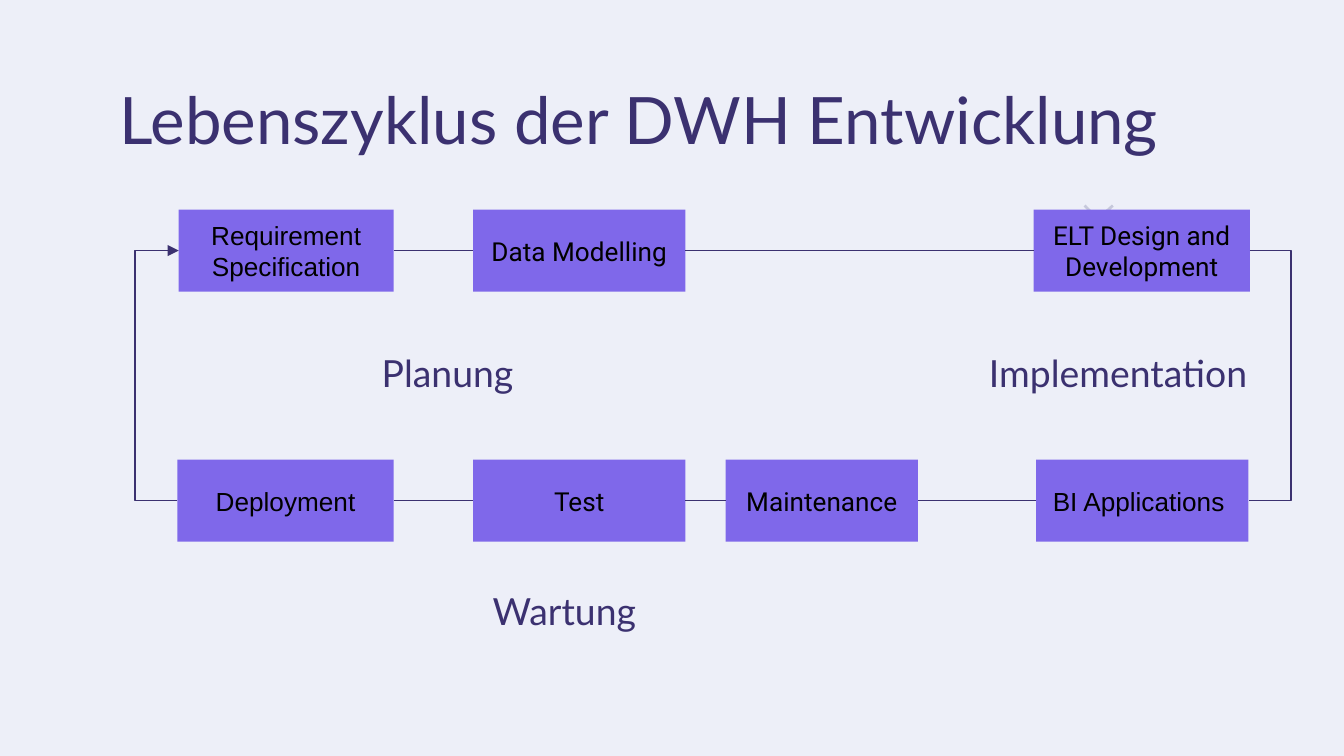
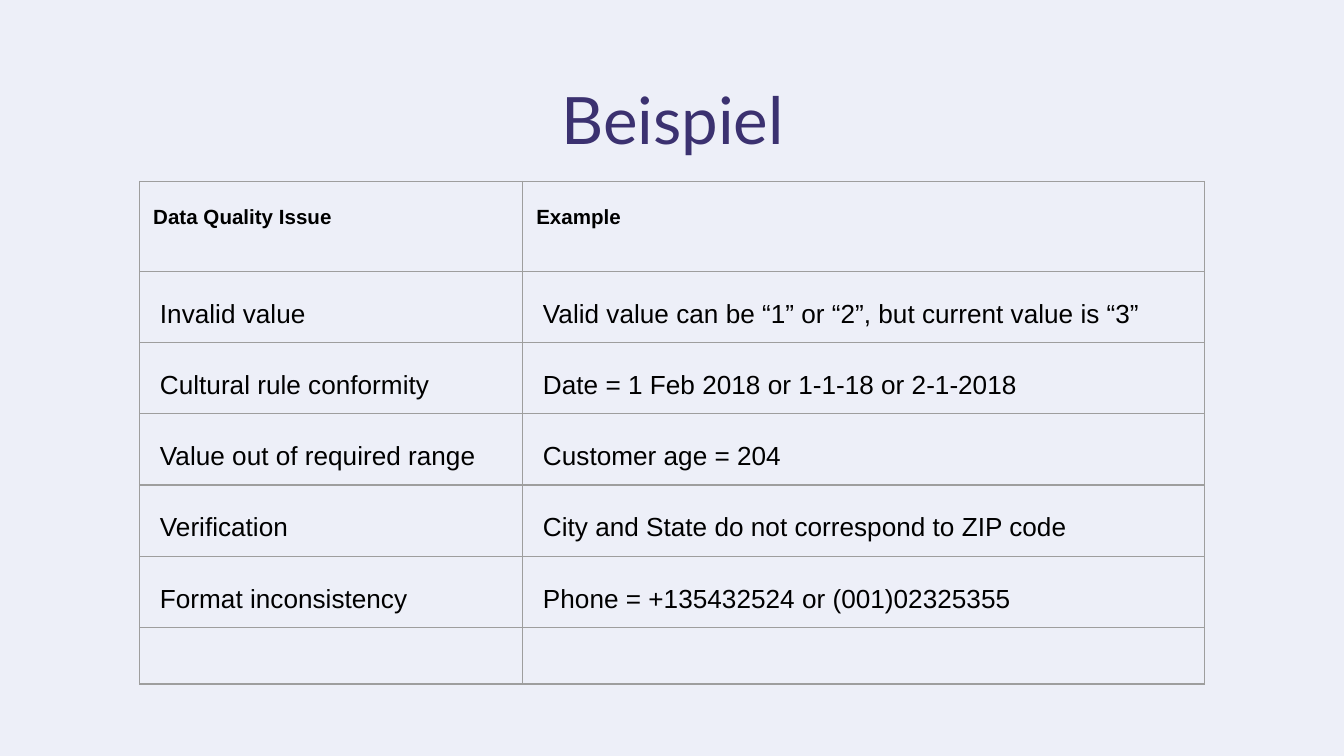
from lxml import etree
from pptx import Presentation
from pptx.dml.color import RGBColor
from pptx.enum.shapes import MSO_CONNECTOR, MSO_SHAPE
from pptx.enum.text import MSO_ANCHOR, PP_ALIGN
from pptx.oxml.ns import qn
from pptx.util import Inches, Pt

STRAIGHT, ELBOW = MSO_CONNECTOR.STRAIGHT, MSO_CONNECTOR.ELBOW
RECTANGLE = MSO_SHAPE.RECTANGLE
TOP, MIDDLE, BOTTOM = MSO_ANCHOR.TOP, MSO_ANCHOR.MIDDLE, MSO_ANCHOR.BOTTOM
LEFT, CENTER = PP_ALIGN.LEFT, PP_ALIGN.CENTER
LEFT_SIDE, RIGHT_SIDE = 1, 3

WIDTH = 10
HEIGHT = WIDTH * 9 / 16
PAPER, INK, VIOLET, MIST = "EDEFF8", "3B3170", "7F68EA", "C6C8DB"
BLACK, GRID = "000000", "9E9E9E"
MARGIN = 0.1
TITLE_AREA = (0.79, 0.49, 8.43, 0.63)

STEP_HEIGHT = 0.61
STEP_ROWS = [
    (1.56, [
        ("Requirement Specification", 1.33, 1.6, "Arial"),
        ("Data Modelling", 3.52, 1.58, "Roboto"),
        ("ELT Design and Development", 7.69, 1.61, "Roboto"),
    ]),
    (3.42, [
        ("Deployment", 1.32, 1.61, "Arial"),
        ("Test", 3.52, 1.58, "Roboto"),
        ("Maintenance", 5.4, 1.43, "Roboto"),
        ("BI Applications ", 7.71, 1.58, "Arial"),
    ]),
]
LEFT_LANE, RIGHT_LANE = 1, 9.61
PHASES = [
    ("Planung", 1.64, 2.56, 3.38),
    ("Implementation", 7.17, 2.56, 2.3),
    ("Wartung", 3.21, 4.33, 1.98),
]
PHASE_HEIGHT = 0.48
CHEVRON = [(8.07, 1.53), (8.17, 1.63), (8.28, 1.53)]

ISSUES = [
    ("Data Quality Issue", "Example"),
    ("Invalid value", "Valid value can be “1” or “2”, but current value is “3”"),
    ("Cultural rule conformity", "Date = 1 Feb 2018 or 1-1-18 or 2-1-2018"),
    ("Value out of required range", "Customer age = 204"),
    ("Verification", "City and State do not correspond to ZIP code"),
    ("Format inconsistency", "Phone = +135432524 or (001)02325355"),
    ("", ""),
]
ISSUE_ORIGIN = (1.04, 1.35)
ISSUE_COLUMNS = [2.85, 5.07]
HEAD_ROW, BODY_ROW, LAST_ROW = 0.67, 0.53, 0.42
BODY_INDENT, BODY_FOOT = 0.15, 0.07


def color(code):
    return RGBColor.from_string(code)


def inches(*lengths):
    return [Inches(length) for length in lengths]


def style(para, size, font, code, align=LEFT, bold=False):
    para.alignment = align
    para.font.size = Pt(size)
    para.font.name = font
    para.font.bold = bold
    para.font.color.rgb = color(code)


def fill_text(box, text, size, font, code, align, anchor):
    frame = box.text_frame
    frame.word_wrap = True
    frame.vertical_anchor = anchor
    frame.margin_left = frame.margin_right = Inches(MARGIN)
    frame.margin_top = frame.margin_bottom = Inches(MARGIN)
    frame.text = text
    style(frame.paragraphs[0], size, font, code, align)


def add_label(page, text, area, size, align, anchor):
    box = page.shapes.add_textbox(*inches(*area))
    fill_text(box, text, size, "Lato", INK, align, anchor)


def add_page(deck, title, align):
    page = deck.slides.add_slide(deck.slide_layouts[6])
    page.background.fill.solid()
    page.background.fill.fore_color.rgb = color(PAPER)
    add_label(page, title, TITLE_AREA, 35, align, TOP)
    return page


def add_chevron(page):
    start, *rest = [inches(*point) for point in CHEVRON]
    builder = page.shapes.build_freeform(*start)
    builder.add_line_segments(rest, close=False)
    chevron = builder.convert_to_shape()
    chevron.shadow.inherit = False
    chevron.fill.background()
    chevron.line.color.rgb = color(MIST)
    chevron.line.width = Pt(1.48)


def add_step(page, text, left, top, width, font):
    step = page.shapes.add_shape(RECTANGLE, *inches(left, top, width, STEP_HEIGHT))
    step.shadow.inherit = False
    step.fill.solid()
    step.fill.fore_color.rgb = color(VIOLET)
    step.line.fill.background()
    fill_text(step, text, 14, font, BLACK, CENTER, MIDDLE)
    return step


def join(page, first, first_side, second, second_side, kind=STRAIGHT):
    link = page.shapes.add_connector(kind, 0, 0, 0, 0)
    link.begin_connect(first, first_side)
    link.end_connect(second, second_side)
    link.line.color.rgb = color(INK)
    link.line.width = Pt(0.75)
    etree.SubElement(link.element.spPr, qn("a:effectLst"))
    return link


def join_by_lane(page, first, second, side, lane):
    link = join(page, first, side, second, side, ELBOW)
    share = (Inches(lane) - link.begin_x) / (link.end_x - link.begin_x)
    guides = link.element.spPr.find(qn("a:prstGeom")).get_or_add_avLst()
    etree.SubElement(guides, qn("a:gd"), name="adj1", fmla=f"val {round(share * 100000)}")
    return link


def add_arrowhead(link):
    line = link.element.spPr.find(qn("a:ln"))
    etree.SubElement(line, qn("a:tailEnd"), type="triangle")


def build_lifecycle(deck):
    page = add_page(deck, "Lebenszyklus der DWH Entwicklung", LEFT)
    add_chevron(page)
    for text, left, top, width in PHASES:
        add_label(page, text, (left, top, width, PHASE_HEIGHT), 20, CENTER, BOTTOM)
    upper, lower = [
        [add_step(page, text, left, top, width, font) for text, left, width, font in steps]
        for top, steps in STEP_ROWS
    ]
    for row in (upper, lower):
        for first, second in zip(row, row[1:]):
            join(page, first, RIGHT_SIDE, second, LEFT_SIDE)
    join_by_lane(page, upper[-1], lower[-1], RIGHT_SIDE, RIGHT_LANE)
    add_arrowhead(join_by_lane(page, lower[0], upper[0], LEFT_SIDE, LEFT_LANE))


def add_borders(cell):
    properties = cell._tc.get_or_add_tcPr()
    for position, edge in enumerate(("a:lnL", "a:lnR", "a:lnT", "a:lnB")):
        line = etree.Element(qn(edge), w=str(Pt(0.75)))
        paint = etree.SubElement(line, qn("a:solidFill"))
        etree.SubElement(paint, qn("a:srgbClr"), val=GRID)
        properties.insert(position, line)


def build_example(deck):
    page = add_page(deck, "Beispiel", CENTER)
    heights = [HEAD_ROW] + [BODY_ROW] * (len(ISSUES) - 2) + [LAST_ROW]
    area = (*ISSUE_ORIGIN, sum(ISSUE_COLUMNS), sum(heights))
    table = page.shapes.add_table(len(ISSUES), len(ISSUE_COLUMNS), *inches(*area)).table
    table.first_row = table.horz_banding = False
    for column, width in zip(table.columns, ISSUE_COLUMNS):
        column.width = Inches(width)
    for index, (row, texts, height) in enumerate(zip(table.rows, ISSUES, heights)):
        row.height = Inches(height)
        head = index == 0
        for cell, text in zip(row.cells, texts):
            cell.text = text
            cell.fill.background()
            cell.margin_top = cell.margin_right = Inches(MARGIN)
            cell.margin_left = Inches(MARGIN if head else BODY_INDENT)
            cell.margin_bottom = Inches(BODY_FOOT)
            para = cell.text_frame.paragraphs[0]
            para.line_spacing = 1.5 if text else 1
            style(para, 11 if head else 14, "Arial", BLACK, bold=head)
            add_borders(cell)


def main():
    deck = Presentation()
    deck.slide_width, deck.slide_height = inches(WIDTH, HEIGHT)
    build_lifecycle(deck)
    build_example(deck)
    deck.save("out.pptx")


if __name__ == "__main__":
    main()
